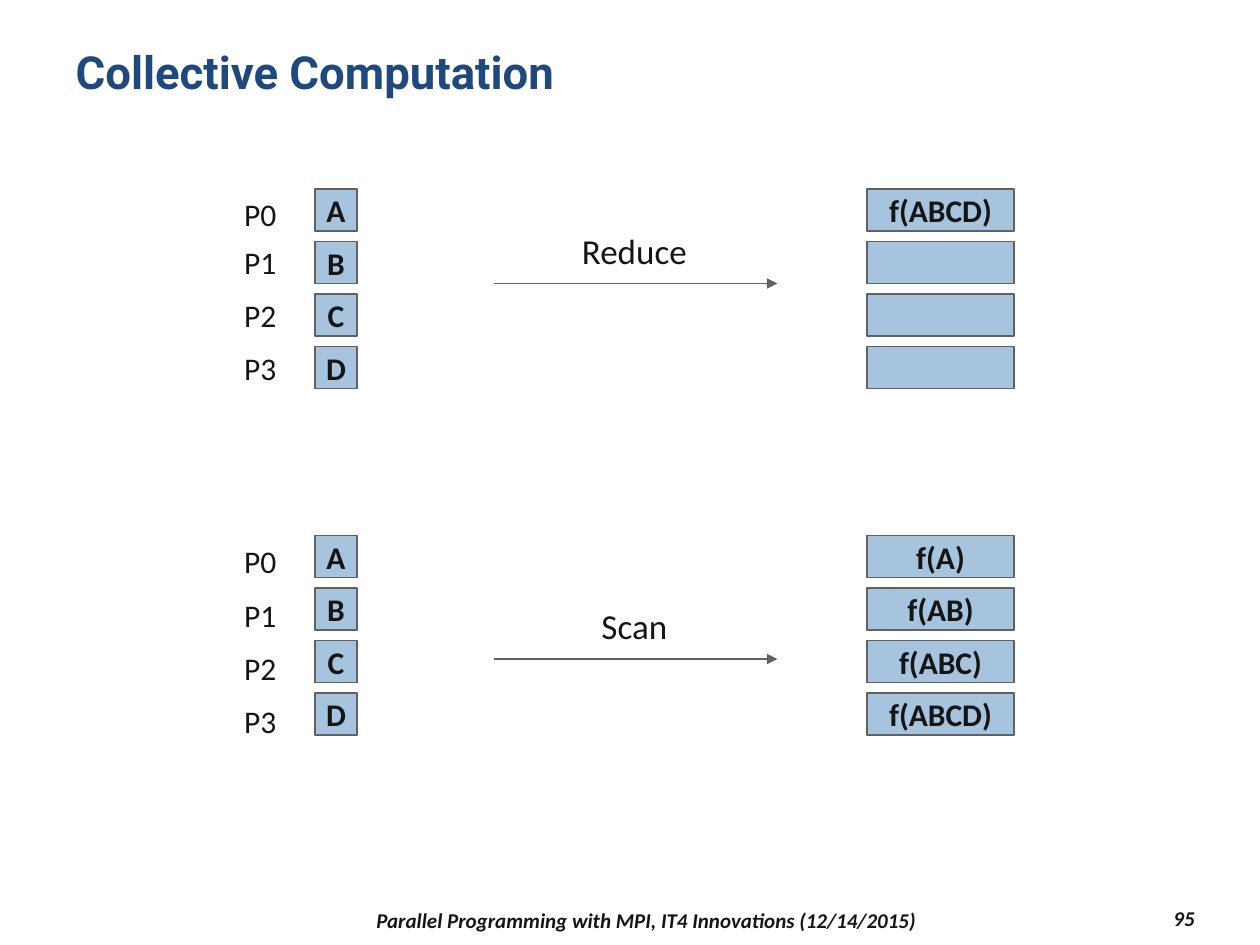
from pptx import Presentation
from pptx.dml.color import RGBColor
from pptx.enum.shapes import MSO_CONNECTOR, MSO_SHAPE
from pptx.enum.text import MSO_ANCHOR, PP_ALIGN
from pptx.oxml.ns import qn
from pptx.util import Inches, Pt
from lxml import etree

RECTANGLE = MSO_SHAPE.RECTANGLE
STRAIGHT = MSO_CONNECTOR.STRAIGHT
TOP, MIDDLE = MSO_ANCHOR.TOP, MSO_ANCHOR.MIDDLE
LEFT, CENTER, RIGHT = PP_ALIGN.LEFT, PP_ALIGN.CENTER, PP_ALIGN.RIGHT

NAVY = RGBColor(0x1F, 0x49, 0x7D)
INK = RGBColor(0x15, 0x15, 0x15)
GRAY = RGBColor(0x61, 0x61, 0x61)
BLUE = RGBColor(0xA6, 0xC4, 0xDE)

BOX_HEIGHT = 1 / 3
BOX_PITCH = 5 / 12


class SlideBuilder:
    """Holds the style and the current slide."""

    body_font = "Calibri"
    title_font = "Roboto"

    def __init__(self, slide):
        self.slide = slide

    def set_text(self, shape, text, size, align=CENTER, anchor=MIDDLE, wrap=False,
                 bold=False, italic=False, color=INK, font=body_font):
        frame = shape.text_frame
        frame.word_wrap = wrap
        frame.vertical_anchor = anchor
        paragraph = frame.paragraphs[0]
        paragraph.text = text
        paragraph.alignment = align
        paragraph.font.name = font
        paragraph.font.size = Pt(size)
        paragraph.font.bold = bold
        paragraph.font.italic = italic
        paragraph.font.color.rgb = color

    def title(self, text, left, top, width, height):
        shape = self.slide.shapes.title
        shape.left, shape.top = Inches(left), Inches(top)
        shape.width, shape.height = Inches(width), Inches(height)
        self.set_text(shape, text, 26, LEFT, TOP, wrap=True, bold=True,
                      color=NAVY, font=self.title_font)

    def text(self, text, left, top, width, height, size, **style):
        shape = self.slide.shapes.add_textbox(
            Inches(left), Inches(top), Inches(width), Inches(height))
        self.set_text(shape, text, size, **style)

    def box(self, text, left, top, width):
        shape = self.slide.shapes.add_shape(
            RECTANGLE, Inches(left), Inches(top), Inches(width), Inches(BOX_HEIGHT))
        shape.shadow.inherit = False
        shape.fill.solid()
        shape.fill.fore_color.rgb = BLUE
        shape.line.color.rgb = GRAY
        shape.line.width = Pt(1)
        frame = shape.text_frame
        frame.margin_top = frame.margin_bottom = 0
        if text:
            self.set_text(shape, text, 18, bold=True)

    def arrow(self, left, right, y):
        connector = self.slide.shapes.add_connector(
            STRAIGHT, Inches(left), Inches(y), Inches(right), Inches(y))
        connector.line.color.rgb = GRAY
        connector.line.width = Pt(1)
        properties = connector._element.spPr
        etree.SubElement(properties.find(qn("a:ln")), qn("a:tailEnd"), type="triangle")
        etree.SubElement(properties, qn("a:effectLst"))

    def operation(self, name, top, arrow_y, label_tops, results):
        """Draw the processes, their inputs, the arrow and the results."""
        rows = zip(label_tops, "ABCD", results)
        for index, (label_top, value, result) in enumerate(rows):
            box_top = top + index * BOX_PITCH
            self.text(f"P{index}", 1.83, label_top, 0.47, 0.4, 18, anchor=TOP)
            self.box(value, 2.5, box_top, BOX_HEIGHT)
            self.box(result, 6.88, box_top, 1.17)
        self.arrow(3.92, 6.17, arrow_y)
        self.text(name, 4.52, arrow_y - 0.48, 1.03, 0.43, 20, anchor=TOP)


def main():
    presentation = Presentation()
    presentation.slide_width = Inches(10)
    presentation.slide_height = Inches(7.5)
    title_only = presentation.slide_layouts[5]
    builder = SlideBuilder(presentation.slides.add_slide(title_only))

    builder.title("Collective Computation", 0.5, 0.3, 9, 0.87)

    # The two collective operations
    builder.operation("Reduce", 1.5, 2.25, (1.5, 1.88, 2.3, 2.72),
                      ("f(ABCD)", "", "", ""))
    builder.operation("Scan", 4.25, 5.23, (4.25, 4.68, 5.1, 5.52),
                      ("f(A)", "f(AB)", "f(ABC)", "f(ABCD)"))

    # Footer and page number
    footer_style = {"size": 12, "wrap": True, "bold": True, "italic": True}
    builder.text("Parallel Programming with MPI, IT4 Innovations (12/14/2015)",
                 2.17, 7.17, 5.92, 0.27, **footer_style)
    builder.text("95", 8.5, 7.15, 1.08, 0.27, align=RIGHT, **footer_style)

    presentation.save("out.pptx")


if __name__ == "__main__":
    main()
